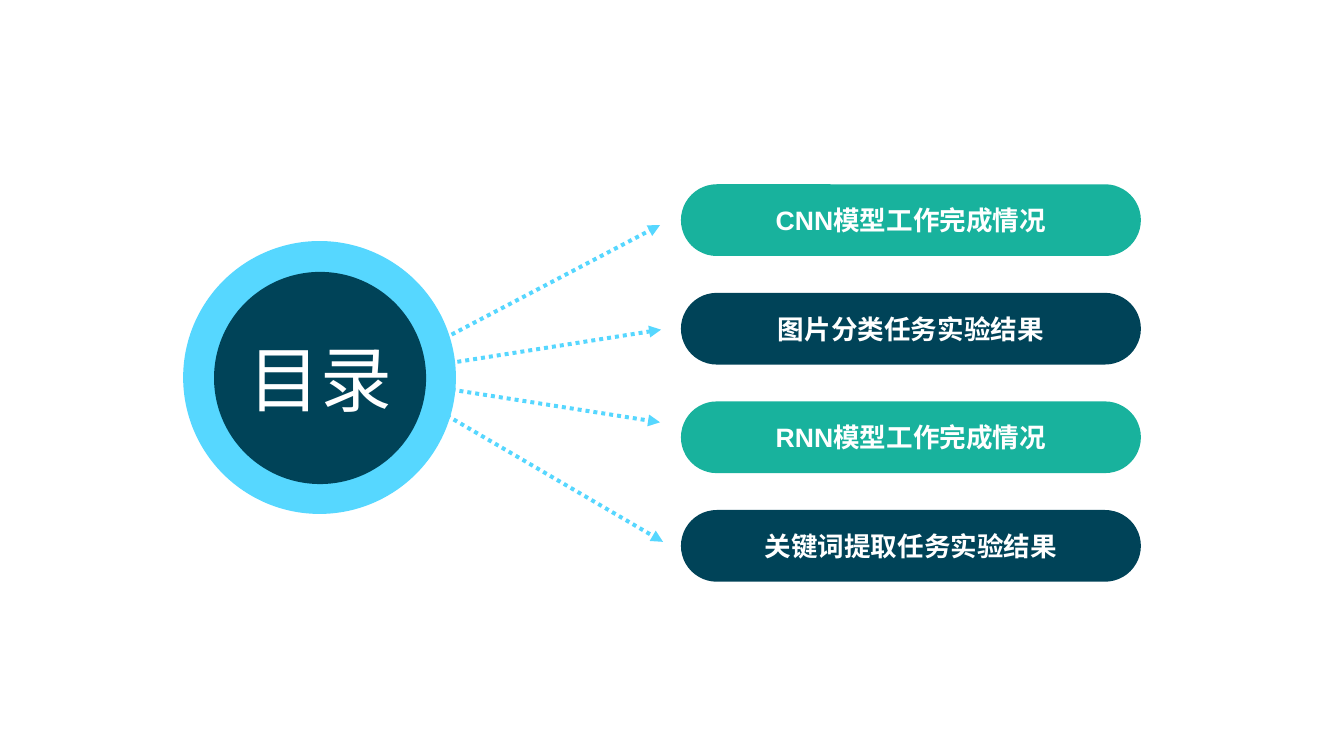
from pptx import Presentation
from pptx import util as u
from pptx.dml.color import RGBColor
from pptx.enum import dml, shapes, text
from pptx.oxml.ns import qn
from lxml import etree

PX = 9525
FONT = "Arial"
WHITE = RGBColor(0xFF, 0xFF, 0xFF)
NAVY = RGBColor(0x00, 0x43, 0x58)
TEAL = RGBColor(0x18, 0xB2, 0x9D)
SKY = RGBColor(0x56, 0xD7, 0xFF)

TOPICS = [
    "CNN模型工作完成情况",
    "图片分类任务实验结果",
    "RNN模型工作完成情况",
    "关键词提取任务实验结果",
]
TOPIC_LEFT, TOPIC_TOP, TOPIC_WIDTH, TOPIC_HEIGHT = 684, 185, 462, 72
TOPIC_PITCH = 109
ARROWS = [
    (404, 362, 663, 226),
    (404, 372, 664, 331),
    (414, 385, 663, 424),
    (428, 405, 666, 544),
]
RING = (184, 242, 274, 274)
HUB = (215, 273, 213, 213)


def px(*lengths):
    return [u.Emu(length * PX) for length in lengths]


def write_text(shape, words, size, bold):
    frame = shape.text_frame
    frame.word_wrap = True
    frame.auto_size = text.MSO_AUTO_SIZE.NONE
    frame.vertical_anchor = text.MSO_ANCHOR.MIDDLE
    frame.margin_left = frame.margin_right = 0
    frame.margin_top = frame.margin_bottom = 0
    paragraph = frame.paragraphs[0]
    paragraph.alignment = text.PP_ALIGN.CENTER
    run = paragraph.add_run()
    run.text = words
    run.font.name = FONT
    run.font.size = u.Pt(size)
    run.font.bold = bold
    run.font.color.rgb = WHITE


def add_filled_shape(slide, kind, box, color):
    shape = slide.shapes.add_shape(kind, *px(*box))
    shape.shadow.inherit = False
    shape.fill.solid()
    shape.fill.fore_color.rgb = color
    shape.line.fill.background()
    return shape


def add_topic(slide, index, words):
    box = (TOPIC_LEFT, TOPIC_TOP + index * TOPIC_PITCH, TOPIC_WIDTH, TOPIC_HEIGHT)
    color = (TEAL, NAVY)[index % 2]
    pill = add_filled_shape(slide, shapes.MSO_SHAPE.ROUNDED_RECTANGLE, box, color)
    pill.adjustments[0] = 0.5
    write_text(pill, words, 20, True)


def add_dotted_arrow(slide, ends):
    arrow = slide.shapes.add_connector(shapes.MSO_CONNECTOR.STRAIGHT, *px(*ends))
    arrow.line.color.rgb = SKY
    arrow.line.width = u.Pt(3)
    arrow.line.dash_style = dml.MSO_LINE.ROUND_DOT
    properties = arrow.element.spPr
    etree.SubElement(properties.find(qn("a:ln")), qn("a:tailEnd"), type="triangle")
    etree.SubElement(properties, qn("a:effectLst"))


def place_title(slide, words):
    title = slide.shapes.title
    title.left, title.top, title.width, title.height = px(*HUB)
    write_text(title, words, 54, False)
    title.element.getparent().append(title.element)


def main():
    presentation = Presentation()
    presentation.slide_width, presentation.slide_height = px(1350, 759)
    slide = presentation.slides.add_slide(presentation.slide_layouts[5])
    for ends in ARROWS:
        add_dotted_arrow(slide, ends)
    for index, words in enumerate(TOPICS):
        add_topic(slide, index, words)
    for box, color in ((RING, SKY), (HUB, NAVY)):
        add_filled_shape(slide, shapes.MSO_SHAPE.OVAL, box, color)
    place_title(slide, "目录")
    presentation.save("out.pptx")


if __name__ == "__main__":
    main()
